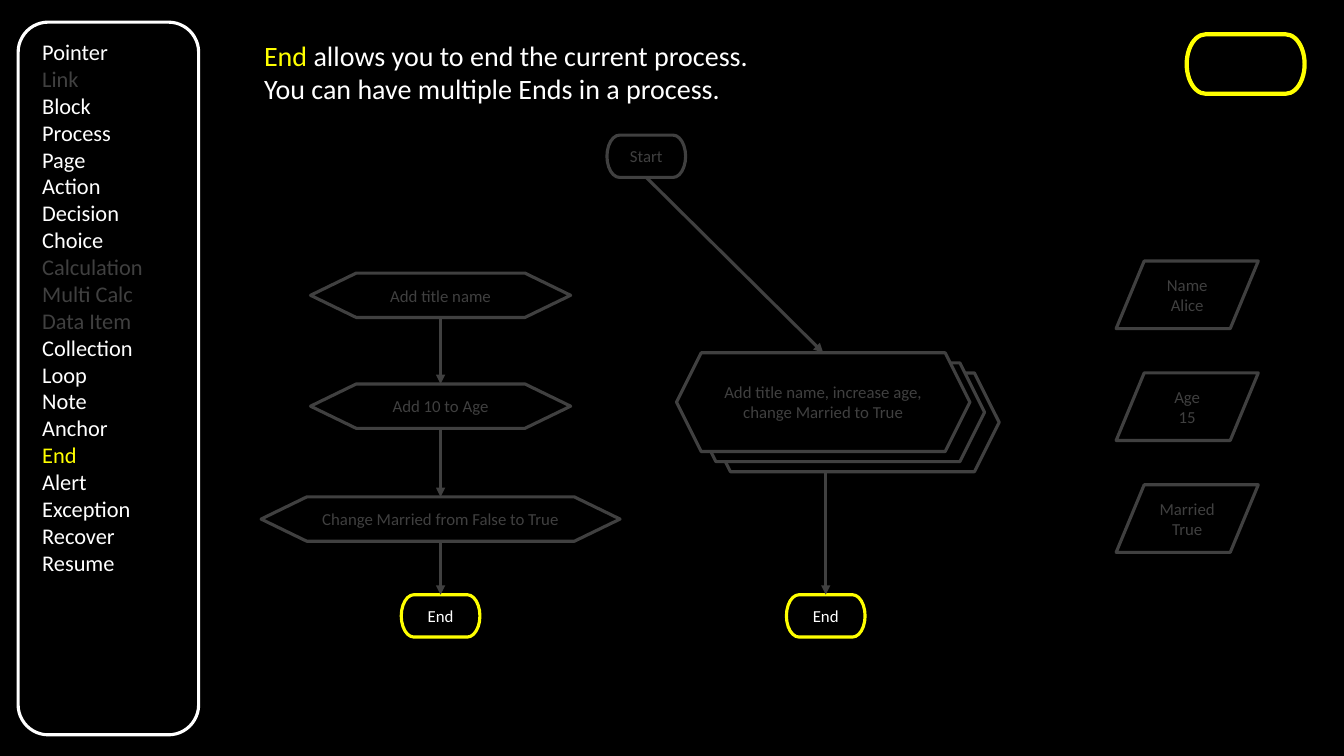
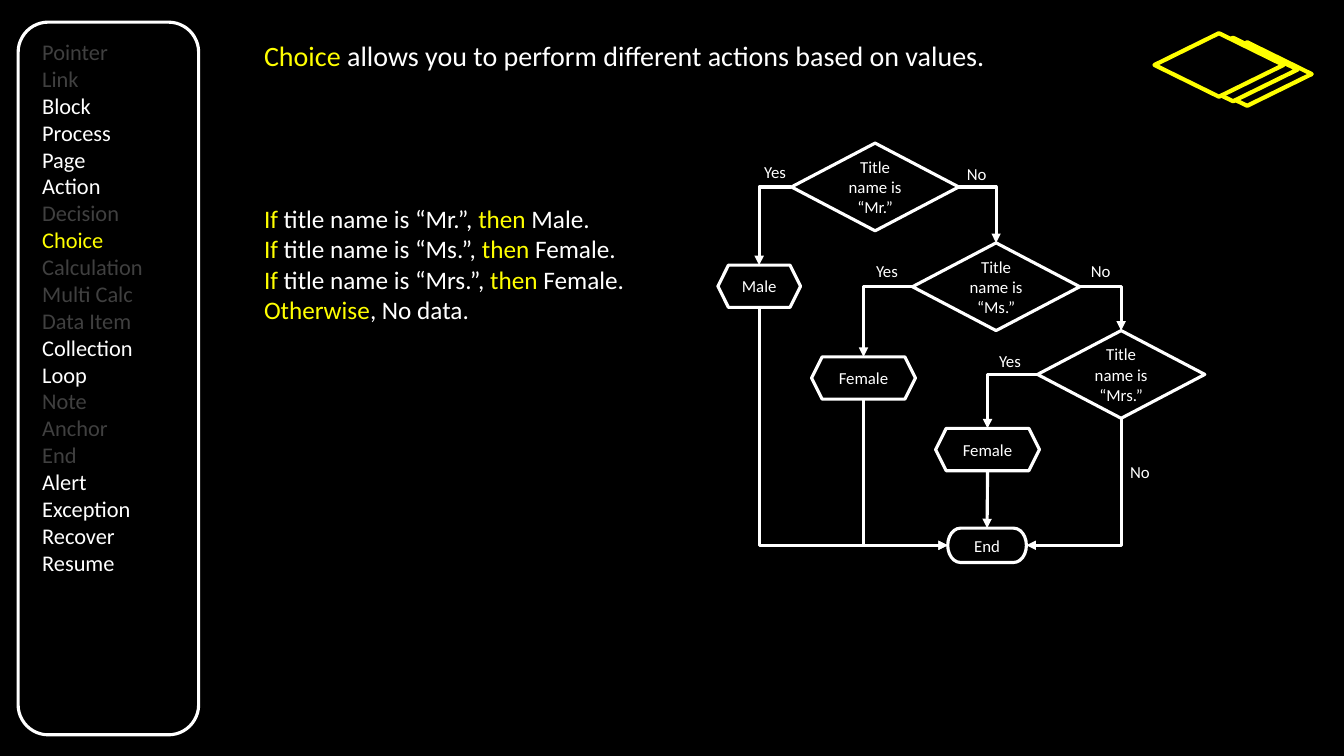
import pptx
import pptx.util
import pptx.dml.color
import pptx.enum.shapes
import pptx.enum.text
import pptx.oxml.ns
from lxml import etree

Inches = pptx.util.Inches
KIND = pptx.enum.shapes.MSO_SHAPE
LINK = pptx.enum.shapes.MSO_CONNECTOR
ALIGN = pptx.enum.text.PP_ALIGN
qn = pptx.oxml.ns.qn

COLORS = {"back": "000000", "white": "FFFFFF", "dim": "404040", "hot": "FFFF00"}
FONT = "Calibri"
TOP, LEFT, BOTTOM, RIGHT = range(4)

MENU = ["Pointer", "Link", "Block", "Process", "Page", "Action", "Decision",
        "Choice", "Calculation", "Multi Calc", "Data Item", "Collection",
        "Loop", "Note", "Anchor", "End", "Alert", "Exception", "Recover",
        "Resume"]

END = {
    "title": ["*End* allows you to end the current process.",
              "You can have multiple Ends in a process."],
    "hot": "End",
    "dim": ["Link", "Calculation", "Multi Calc", "Data Item"],
    "data": [["Name", "Alice"], ["Age", "15"], ["Married", "True"]],
    "steps": [("Add title name", 2.71, 2.58), ("Add 10 to Age", 3.81, 2.58),
              ("Change Married from False to True", 4.93, 3.56)],
    "multi": "Add title name, increase age, change Married to True",
}

CHOICE = {
    "title": ["*Choice* allows you to perform different actions based on values."],
    "hot": "Choice",
    "dim": ["Pointer", "Link", "Decision", "Calculation", "Multi Calc",
            "Data Item", "Note", "Anchor", "End"],
    "rules": ["*If* title name is “Mr.”, *then* Male.",
              "*If* title name is “Ms.”, *then* Female.",
              "*If* title name is “Mrs.”, *then* Female.",
              "*Otherwise*, No data."],
    "tests": [("Mr.", 7.85, 1.42), ("Ms.", 9.05, 2.41), ("Mrs.", 10.29, 3.28)],
    "acts": [("Male", 7.12, 2.63, 0.82), ("Female", 8.05, 3.54, 1.03),
             ("Female", 9.28, 4.25, 1.03)],
    "labels": [("Yes", 7.48, 1.56), ("No", 9.49, 1.58), ("Yes", 8.59, 2.54),
               ("No", 10.72, 2.54), ("Yes", 9.81, 3.43), ("No", 11.11, 4.53)],
}


def rgb(name):
    return pptx.dml.color.RGBColor.from_string(COLORS[name])


def write(frame, lines, size, color, align=ALIGN.LEFT):
    for i, line in enumerate(lines):
        para = frame.paragraphs[0] if i == 0 else frame.add_paragraph()
        para.alignment = align
        para.font.size = pptx.util.Pt(size)
        para.font.name = FONT
        para.font.color.rgb = rgb(color)
        for j, part in enumerate(line.split("*")):
            if part:
                run = para.add_run()
                run.text = part
                if j % 2:
                    run.font.color.rgb = rgb("hot")


def add_text(slide, lines, box, size, wrap=False):
    frame = slide.shapes.add_textbox(*map(Inches, box)).text_frame
    frame.word_wrap = wrap
    write(frame, lines, size, "white")
    return frame


def add_box(slide, kind, box, line, lines=(), ink=None, width=2.25, fill=False):
    shape = slide.shapes.add_shape(kind, *map(Inches, box))
    shape.shadow.inherit = False
    if fill:
        shape.fill.solid()
        shape.fill.fore_color.rgb = rgb("back")
    else:
        shape.fill.background()
    shape.line.color.rgb = rgb(line)
    shape.line.width = pptx.util.Pt(width)
    shape.text_frame.vertical_anchor = pptx.enum.text.MSO_ANCHOR.MIDDLE
    write(shape.text_frame, lines, 12, ink or line, ALIGN.CENTER)
    return shape


def side(shape, site):
    x = shape.left + {LEFT: 0, RIGHT: shape.width}.get(site, shape.width // 2)
    y = shape.top + {TOP: 0, BOTTOM: shape.height}.get(site, shape.height // 2)
    return x, y


def add_arrow(slide, start, end, color, kind=LINK.STRAIGHT):
    (x1, y1), (x2, y2) = side(*start), side(*end)
    arrow = slide.shapes.add_connector(kind, x1, y1, x2, y2)
    for join, (shape, site) in ((arrow.begin_connect, start), (arrow.end_connect, end)):
        if shape.auto_shape_type != KIND.HEXAGON:
            join(shape, site)
    arrow.line.color.rgb = rgb(color)
    arrow.line.width = pptx.util.Pt(2.25)
    tail = etree.SubElement(arrow.line._get_or_add_ln(), qn("a:tailEnd"))
    tail.set("type", "triangle")
    props = arrow._element.spPr
    etree.SubElement(props, qn("a:effectLst"))
    if kind == LINK.ELBOW:
        props.find(qn("a:prstGeom")).set("prst", "bentConnector2")
        if start[1] == BOTTOM:
            wide, high = abs(x2 - x1), abs(y2 - y1)
            arrow.left = (x1 + x2 - high) // 2
            arrow.top = (y1 + y2 - wide) // 2
            arrow.width, arrow.height = high, wide
            turn = props.find(qn("a:xfrm"))
            turn.attrib.pop("flipH", None)
            turn.attrib.pop("flipV", None)
            turn.set("rot", str((270 if x2 > x1 else 90) * 60000))
            if x2 > x1:
                turn.set("flipH", "1")


def add_base(deck, page):
    slide = deck.slides.add_slide(deck.slide_layouts[6])
    menu = add_text(slide, MENU, (0.32, 0.33, 1.21, 5.49), 16)
    for para, name in zip(menu.paragraphs, MENU):
        if name == page["hot"] or name in page["dim"]:
            para.font.color.rgb = rgb("hot" if name == page["hot"] else "dim")
    add_box(slide, KIND.ROUNDED_RECTANGLE, (0.18, 0.22, 1.79, 7.07), "white")
    high = 0.1 + 0.335 * len(page["title"])
    add_text(slide, page["title"], (2.52, 0.33, 8.59, high), 20, True)
    return slide


def draw_end(deck):
    slide = add_base(deck, END)
    pill = KIND.FLOWCHART_TERMINATOR
    for i, lines in enumerate(END["data"]):
        item = add_box(slide, KIND.PARALLELOGRAM,
                       (11.07, 2.59 + 1.11 * i, 1.41, 0.67), "dim", lines)
        item.adjustments[0] = 0.415
    steps = []
    for text, top, wide in END["steps"]:
        step = add_box(slide, KIND.HEXAGON, (4.37 - wide / 2, top, wide, 0.44),
                       "dim", [text])
        step.adjustments[0] = 1.029
        steps.append(step)
    start = add_box(slide, pill, (6.02, 1.34, 0.78, 0.42), "dim", ["Start"])
    ends = [add_box(slide, pill, (x, 5.9, 0.78, 0.42), "hot", ["End"], "white")
            for x in (3.98, 7.8)]
    chain = steps + ends[:1]
    for one, two in zip(chain, chain[1:]):
        add_arrow(slide, (one, BOTTOM), (two, TOP), "dim")
    for i in (2, 1, 0):
        multi = add_box(slide, KIND.HEXAGON,
                        (6.71 + 0.145 * i, 3.5 + 0.1 * i, 2.91, 0.98), "dim",
                        [] if i else [END["multi"]], fill=i < 2)
    add_arrow(slide, (start, BOTTOM), (multi, TOP), "dim")
    down = slide.shapes.add_connector(LINK.STRAIGHT, Inches(8.19), Inches(4.68),
                                      Inches(8.19), Inches(5.9))
    down.end_connect(ends[1], TOP)
    down.line.color.rgb = rgb("dim")
    down.line.width = pptx.util.Pt(2.25)
    tail = etree.SubElement(down.line._get_or_add_ln(), qn("a:tailEnd"))
    tail.set("type", "triangle")
    etree.SubElement(down._element.spPr, qn("a:effectLst"))
    add_box(slide, pill, (11.77, 0.34, 1.17, 0.59), "hot", width=3)


def draw_choice(deck):
    slide = add_base(deck, CHOICE)
    for i in (2, 1, 0):
        add_box(slide, KIND.DIAMOND, (11.45 + 0.14 * i, 0.33 + 0.045 * i, 1.28, 0.63),
                "hot", width=3, fill=True)
    add_text(slide, CHOICE["rules"], (2.52, 1.97, 3.81, 1.31), 18)
    tests = [add_box(slide, KIND.DIAMOND, (x, y, 1.66, 0.87), "white",
                     [f"Title name is “{name}”"])
             for name, x, y in CHOICE["tests"]]
    acts = [add_box(slide, KIND.HEXAGON, (x, y, wide, 0.42), "white", [name])
            for name, x, y, wide in CHOICE["acts"]]
    end = add_box(slide, KIND.FLOWCHART_TERMINATOR, (9.4, 5.24, 0.78, 0.34),
                  "white", ["End"])
    bends = [((test, LEFT), (act, TOP)) for test, act in zip(tests, acts)]
    bends += [((one, RIGHT), (two, TOP)) for one, two in zip(tests, tests[1:])]
    bends += [((act, BOTTOM), (end, LEFT)) for act in acts[:2]]
    bends.append(((tests[2], BOTTOM), (end, RIGHT)))
    for start, stop in bends:
        add_arrow(slide, start, stop, "white", LINK.ELBOW)
    add_arrow(slide, (acts[2], BOTTOM), (end, TOP), "white")
    for text, x, y in CHOICE["labels"]:
        add_text(slide, [text], (x, y, 0.42, 0.3), 12)


def main():
    deck = pptx.Presentation()
    deck.slide_width, deck.slide_height = Inches(13.33), Inches(7.5)
    fill = deck.slide_master.background.fill
    fill.solid()
    fill.fore_color.rgb = rgb("back")
    draw_end(deck)
    draw_choice(deck)
    deck.save("out.pptx")


if __name__ == "__main__":
    main()
